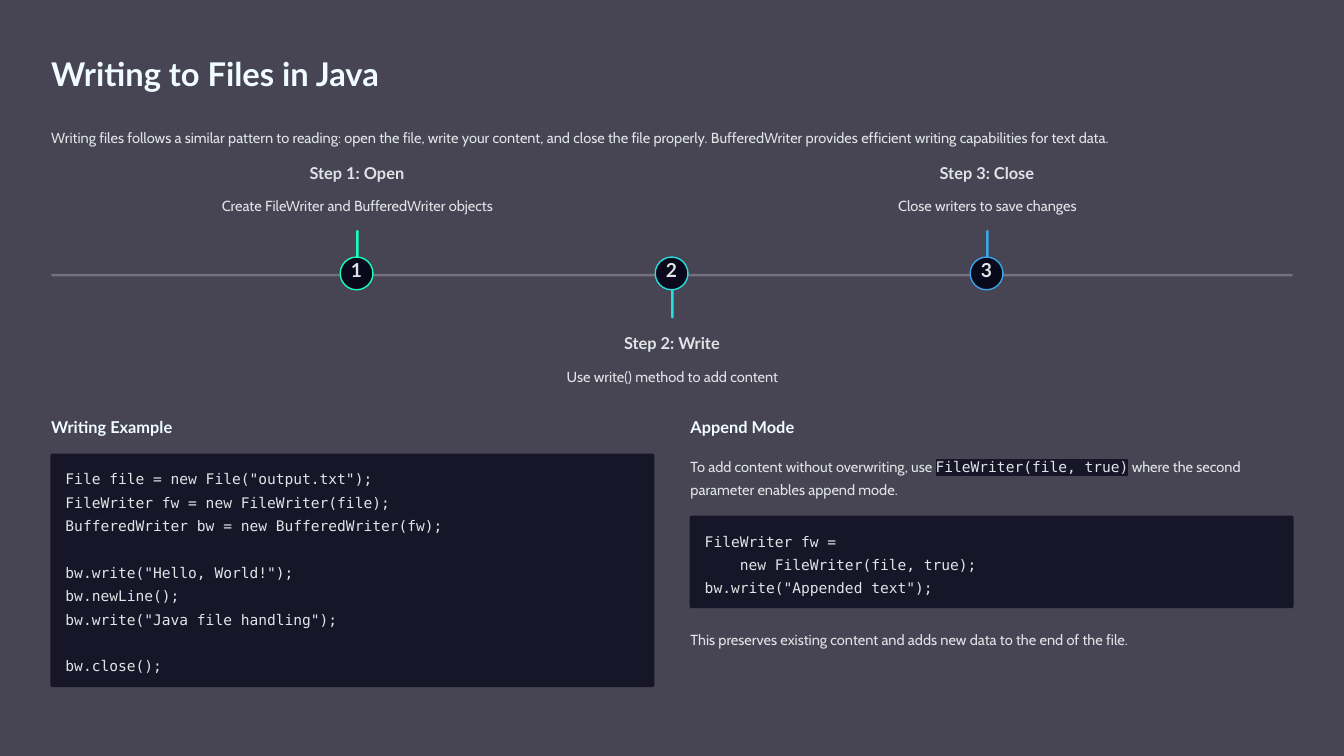
from lxml import etree
from pptx import Presentation
from pptx.dml.color import RGBColor
from pptx.enum.shapes import MSO_SHAPE
from pptx.enum.text import PP_ALIGN
from pptx.oxml.ns import qn
from pptx.util import Inches, Pt

ROUNDED = MSO_SHAPE.ROUNDED_RECTANGLE
LEFT, CENTER = PP_ALIGN.LEFT, PP_ALIGN.CENTER
HEADING, BODY, CODE = "Lato", "Cabin", "DejaVu Sans Mono"
BRIGHT, TEXT, NAVY, PANEL = "F0FCFF", "E0E4E6", "0A081B", "171528"


def add_text(box, text, font_name=BODY, size=12.5, spacing=20, color=TEXT, align=LEFT):
    shape = slide.shapes.add_textbox(*map(Inches, box))
    frame = shape.text_frame
    frame.margin_left = frame.margin_top = frame.margin_right = frame.margin_bottom = 0
    frame.word_wrap = True
    frame.text = text
    for paragraph in frame.paragraphs:
        paragraph.alignment = align
        paragraph.line_spacing = Pt(spacing)
        paragraph.font.size = Pt(size)
        for run in paragraph.runs:
            run.font.name = font_name
            run.font.size = Pt(size)
            run.font.bold = font_name == HEADING
            run.font.color.rgb = RGBColor.from_string(color)
    return frame


def add_block(box, color, rounding=0.5, line_color=None):
    shape = slide.shapes.add_shape(ROUNDED, *map(Inches, box))
    shape.shadow.inherit = False
    shape.adjustments[0] = rounding
    shape.fill.solid()
    shape.fill.fore_color.rgb = RGBColor.from_string(color)
    if line_color:
        shape.line.color.rgb = RGBColor.from_string(line_color)
        shape.line.width = Pt(1.2)
    else:
        shape.line.fill.background()
    return shape


presentation = Presentation()
presentation.slide_width = Inches(16)
presentation.slide_height = Inches(9)
slide = presentation.slides.add_slide(presentation.slide_layouts[6])
slide.background.fill.solid()
slide.background.fill.fore_color.rgb = RGBColor.from_string("474554")

add_text((0.61, 0.62, 4.07, 0.49), "Writing to Files in Java", HEADING, 28, 35, BRIGHT)
add_text((0.61, 1.46, 14.78, 0.28),
         "Writing files follows a similar pattern to reading: open the file, write your content, "
         "and close the file properly. BufferedWriter provides efficient writing capabilities for text data.")

timeline = add_block((0.61, 3.26, 14.78, 0.03), "FFFFFF")
timeline_color = timeline.fill._xPr.find(qn("a:solidFill"))[0]
etree.SubElement(timeline_color, qn("a:alpha"), val="24000")

steps = [
    ("Step 1: Open", "Create FileWriter and BufferedWriter objects", "16FFBB", 2.74, 1.93),
    ("Step 2: Write", "Use write() method to add content", "29DDDA", 3.26, 3.96),
    ("Step 3: Close", "Close writers to save changes", "37A7E7", 2.74, 1.93),
]
for index, (title, description, color, stem_top, title_top) in enumerate(steps):
    middle = 4.25 + 3.75 * index
    add_block((middle - 0.01, stem_top, 0.03, 0.53), color)
    add_block((middle - 0.2, 3.06, 0.39, 0.39), NAVY, line_color=color)
    add_text((middle - 0.12, 3.12, 0.23, 0.29), str(index + 1), HEADING, 16.5, 16.5, align=CENTER)
    add_text((middle - 0.97, title_top, 1.94, 0.24), title, HEADING, 14, 17.5, align=CENTER)
    add_text((middle - 3.46, title_top + 0.35, 6.93, 0.28), description, align=CENTER)

writing_code = """File file = new File("output.txt");
FileWriter fw = new FileWriter(file);
BufferedWriter bw = new BufferedWriter(fw);

bw.write("Hello, World!");
bw.newLine();
bw.write("Java file handling");

bw.close();"""
append_code = """FileWriter fw =
    new FileWriter(file, true);
bw.write("Appended text");"""

examples = [
    ("Writing Example", 0.61, 5.4, 2.78, writing_code),
    ("Append Mode", 8.22, 6.14, 1.1, append_code),
]
for title, left, top, height, code in examples:
    add_text((left, 4.96, 1.94, 0.24), title, HEADING, 14, 17.5, BRIGHT)
    add_block((left - 0.01, top, 7.19, height), PANEL, 0.025 / height)
    add_text((left + 0.17, top + 0.13, 6.84, height - 0.26), code, CODE)

append_note = add_text((8.22, 5.38, 7.17, 0.57), "To add content without overwriting, use ")
paragraph = append_note.paragraphs[0]
for text, font_name in [("FileWriter(file, true)", CODE),
                        (" where the second parameter enables append mode.", BODY)]:
    run = paragraph.add_run()
    run.text = text
    run.font.name = font_name
    run.font.size = Pt(12.5)
    run.font.color.rgb = RGBColor.from_string(TEXT)
    if font_name == CODE:
        highlight = etree.Element(qn("a:highlight"))
        etree.SubElement(highlight, qn("a:srgbClr"), val=PANEL)
        run.font._element.find(qn("a:solidFill")).addnext(highlight)

add_text((8.22, 7.44, 7.17, 0.28),
         "This preserves existing content and adds new data to the end of the file.")

presentation.save("out.pptx")
